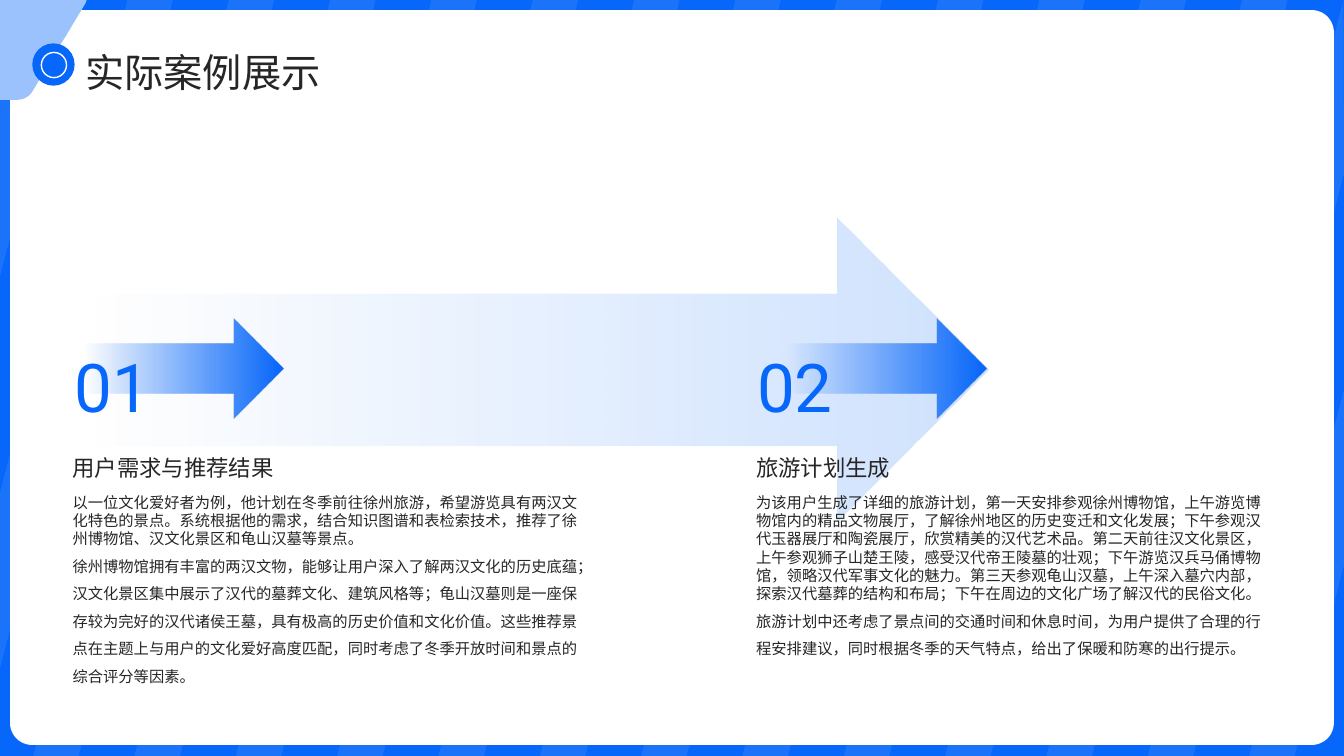
from dataclasses import dataclass
from typing import Any, NamedTuple

from lxml.etree import SubElement as Sub
from pptx import Presentation
from pptx.dml.color import RGBColor as Color
from pptx.enum.shapes import MSO_SHAPE as Kind
from pptx.enum.text import MSO_ANCHOR as Anchor
from pptx.oxml.ns import qn
from pptx.util import Inches, Pt

WIDE, HIGH = 13.33, 7.5
Point = tuple[float, float]


@dataclass(frozen=True)
class Theme:
    """Colours, fonts and type sizes of the deck."""
    blue: str = "0767FA"
    pale: str = "CDE1FE"
    sky: str = "9CC2FD"
    white: str = "FFFFFF"
    ink: str = "262626"
    han: str = "Noto Sans CJK SC"
    roman: str = "Roboto"
    title: float = 28
    head: float = 16
    body: float = 10.9
    number: float = 48


class Box(NamedTuple):
    """Left, top, width and height in inches."""
    left: float
    top: float
    width: float
    height: float


@dataclass(frozen=True)
class Case:
    """One step of the case: arrow, number, heading and text."""
    left: float
    arrow: float
    mark: float
    number: str
    head: str
    body: tuple[str, str]


THEME = Theme()
CASES = (
    Case(0.72, 0.72, 0.74, "01", "用户需求与推荐结果", (
        "以一位文化爱好者为例，他计划在冬季前往徐州旅游，希望游览具有两汉文化特色的景点。系统根据他的需求，结合知识图谱和表检索技术，推荐了徐州博物馆、汉文化景区和龟山汉墓等景点。",
        "徐州博物馆拥有丰富的两汉文物，能够让用户深入了解两汉文化的历史底蕴；汉文化景区集中展示了汉代的墓葬文化、建筑风格等；龟山汉墓则是一座保存较为完好的汉代诸侯王墓，具有极高的历史价值和文化价值。这些推荐景点在主题上与用户的文化爱好高度匹配，同时考虑了冬季开放时间和景点的综合评分等因素。")),
    Case(7.5, 7.69, 7.51, "02", "旅游计划生成", (
        "为该用户生成了详细的旅游计划，第一天安排参观徐州博物馆，上午游览博物馆内的精品文物展厅，了解徐州地区的历史变迁和文化发展；下午参观汉代玉器展厅和陶瓷展厅，欣赏精美的汉代艺术品。第二天前往汉文化景区，上午参观狮子山楚王陵，感受汉代帝王陵墓的壮观；下午游览汉兵马俑博物馆，领略汉代军事文化的魅力。第三天参观龟山汉墓，上午深入墓穴内部，探索汉代墓葬的结构和布局；下午在周边的文化广场了解汉代的民俗文化。",
        "旅游计划中还考虑了景点间的交通时间和休息时间，为用户提供了合理的行程安排建议，同时根据冬季的天气特点，给出了保暖和防寒的出行提示。")),
)


def apply(item: Any, values: dict[str, Any]) -> None:
    """Set each named value on the item."""
    for name, value in values.items():
        setattr(item, name, value)


def fade(shape: Any, alphas: tuple[float, ...]) -> None:
    """Set the opacity of each fill colour in percent."""
    for tint, alpha in zip(shape._element.spPr.iter(qn("a:srgbClr")), alphas):
        Sub(tint, qn("a:alpha"), val=str(int(alpha * 1000)))


def paint(shape: Any, fill: str) -> None:
    """Give a shape a flat fill without line or shadow."""
    shape.shadow.inherit = False
    shape.fill.solid()
    shape.fill.fore_color.rgb = Color.from_string(fill)
    shape.line.fill.background()


def draw(slide: Any, kind: Kind, box: Box, fill: str) -> Any:
    """Add a flat preset shape."""
    shape = slide.shapes.add_shape(kind, *map(Inches, box))
    paint(shape, fill)
    return shape


def arrow(slide: Any, box: Box, start: float, alpha: float) -> None:
    """Add an arrow that fades in from the left."""
    shape = draw(slide, Kind.RIGHT_ARROW, box, THEME.blue)
    shape.fill.gradient()
    shape.fill.gradient_angle = 0
    for stop, place in zip(shape.fill.gradient_stops, (start, 1)):
        stop.color.rgb = Color.from_string(THEME.blue)
        stop.position = place
    fade(shape, (0, alpha))


def trace(slide: Any, loops: list[list[Point]], fill: str) -> Any:
    """Add one outline made of closed loops."""
    paths = [[(Inches(x), Inches(y)) for x, y in loop] for loop in loops]
    pen = slide.shapes.build_freeform(*paths[0][0])
    for index, path in enumerate(paths):
        if index:
            pen.move_to(*path[0])
        pen.add_line_segments(path[1:], close=True)
    shape = pen.convert_to_shape()
    paint(shape, fill)
    return shape


def edge(top: float) -> tuple[Point, Point]:
    """Return both ends of a slanted edge cut to the slide."""
    slope = 1.94 / HIGH
    first, last = max(0, (top - WIDE) / slope), min(HIGH, top / slope)
    return (top - first * slope, first), (top - last * slope, last)


def stripe(index: int) -> list[Point]:
    """Return the corners of one slanted stripe."""
    left = 0.26 + index * 14.07 / 14
    near, far = edge(left), edge(left + 0.45)
    return [near[0], far[0], far[1], near[1]]


def curve(ends: tuple[Point, ...], steps: int = 8) -> list[Point]:
    """Return points along a cubic curve."""
    rows = []
    for step in range(1, steps + 1):
        t = step / steps
        parts = ((1 - t) ** 3, 3 * t * (1 - t) ** 2, 3 * t * t * (1 - t), t ** 3)
        rows.append((sum(p * x for p, (x, _) in zip(parts, ends)),
                     sum(p * y for p, (_, y) in zip(parts, ends))))
    return rows


def write(slide: Any, box: Box, lines: tuple[str, ...], font: dict[str, Any],
          tint: str, gaps: tuple[float, ...] = (1.5,), **frame: Any) -> None:
    """Add a text box with one line spacing per paragraph."""
    text = slide.shapes.add_textbox(*map(Inches, box)).text_frame
    apply(text, {"word_wrap": True, **frame})
    for index, (line, gap) in enumerate(zip(lines, gaps)):
        para = text.add_paragraph() if index else text.paragraphs[0]
        para.line_spacing = gap
        run = para.add_run()
        run.text = line
        apply(run.font, font)
        run.font.color.rgb = Color.from_string(tint)
        Sub(run._r.get_or_add_rPr(), qn("a:ea"), typeface=font["name"])


def step(slide: Any, case: Case) -> None:
    """Draw one step of the case."""
    flush = dict.fromkeys(("margin_left", "margin_top", "margin_right", "margin_bottom"), 0)
    arrow(slide, Box(case.arrow, 3.16, 2.09, 0.99), 0.06, 100)
    write(slide, Box(case.left, 4.89, 5.1, 1.82), case.body,
          {"name": THEME.han, "size": Pt(THEME.body)}, THEME.ink, (1.0, 1.5), **flush)
    middle = {"vertical_anchor": Anchor.MIDDLE, **flush}
    write(slide, Box(case.left, 4.23, 5.1, 0.69), (case.head,),
          {"name": THEME.han, "size": Pt(THEME.head)}, THEME.ink, **middle)
    write(slide, Box(case.mark, 2.97, 2.53, 1.31), (case.number,),
          {"name": THEME.roman, "size": Pt(THEME.number)}, THEME.blue, **middle)


def main() -> None:
    """Build and save the slide."""
    deck = Presentation()
    apply(deck, {"slide_width": Inches(WIDE), "slide_height": Inches(HIGH)})
    slide = deck.slides.add_slide(deck.slide_layouts[6])
    draw(slide, Kind.RECTANGLE, Box(0, 0, WIDE, HIGH), THEME.blue)
    fade(trace(slide, [stripe(index) for index in range(15)], THEME.pale), (10,))
    card = draw(slide, Kind.ROUNDED_RECTANGLE, Box(0.1, 0.1, 13.13, 7.29), THEME.white)
    card.adjustments[0] = 0.03
    arrow(slide, Box(0.7, 2.16, 9.1, 3.01), 0, 20)
    for case in CASES:
        step(slide, case)
    write(slide, Box(0.75, 0.38, 10.87, 0.53), ("实际案例展示",),
          {"name": THEME.han, "size": Pt(THEME.title)}, THEME.ink, (1.3,),
          vertical_anchor=Anchor.MIDDLE)
    bend = curve(((0.32, 0.91), (0.29, 0.96), (0.23, 0.99), (0.17, 0.99)))
    trace(slide, [[(0, 0), (0.86, 0), (0.85, 0.03), (0.32, 0.91), *bend, (0, 0.99)]], THEME.sky)
    draw(slide, Kind.OVAL, Box(0.32, 0.43, 0.42, 0.42), THEME.blue)
    ring = draw(slide, Kind.OVAL, Box(0.41, 0.52, 0.25, 0.25), THEME.blue)
    ring.line.color.rgb = Color.from_string(THEME.white)
    ring.line.width = Pt(1)
    deck.save("out.pptx")


if __name__ == "__main__":
    main()
